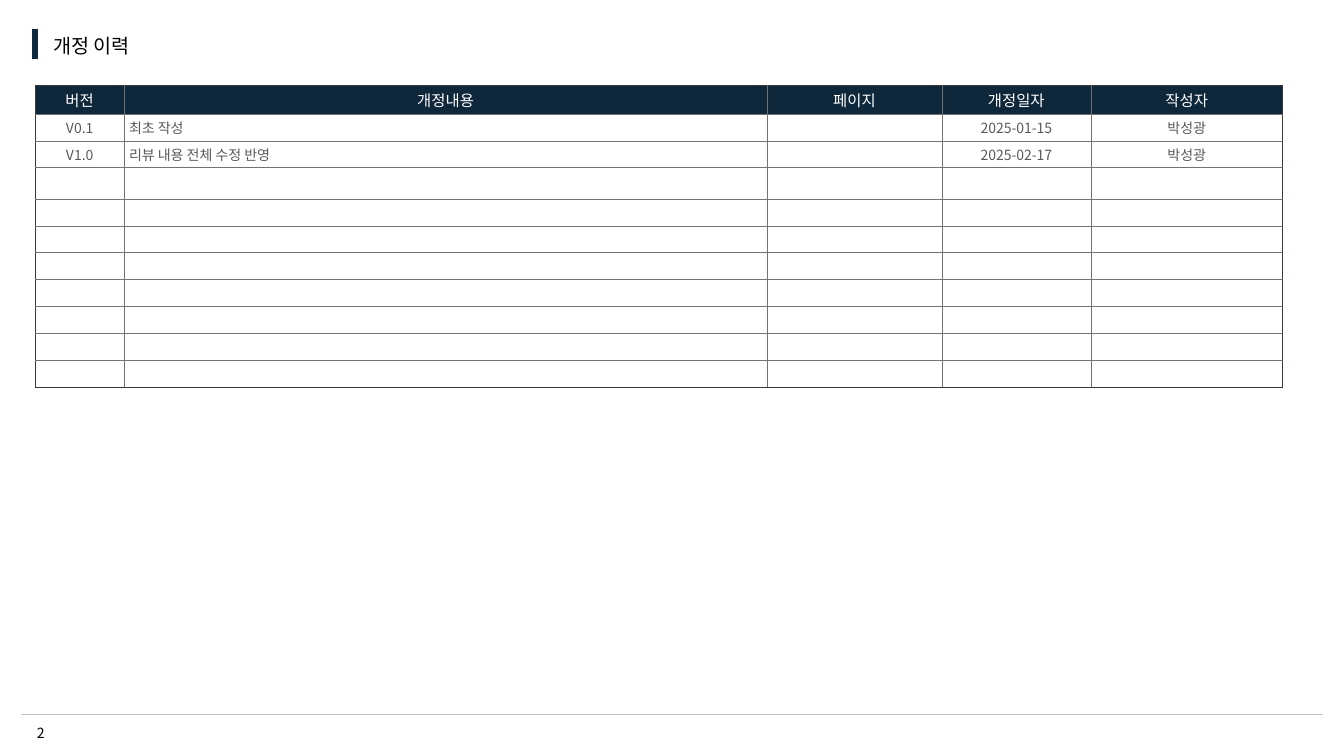
from dataclasses import dataclass

from lxml import etree
from pptx import Presentation
from pptx.dml.color import RGBColor
from pptx.enum.shapes import MSO_CONNECTOR
from pptx.enum.text import MSO_ANCHOR, PP_ALIGN
from pptx.oxml.ns import qn
from pptx.util import Inches, Pt

STRAIGHT = MSO_CONNECTOR.STRAIGHT
MIDDLE = MSO_ANCHOR.MIDDLE
LEFT, CENTER = PP_ALIGN.LEFT, PP_ALIGN.CENTER


@dataclass(frozen=True)
class Theme:
    """Colours, font and type sizes of the slide."""
    font: str = "Noto Sans CJK KR"
    navy: str = "0E273B"
    white: str = "FFFFFF"
    black: str = "000000"
    body: str = "595959"
    rule: str = "BFBFBF"
    grid: str = "767171"
    frame: str = "3B3838"
    grid_width: float = 0.25
    title_size: int = 14
    header_size: int = 11
    body_size: int = 10


THEME = Theme()

HEADERS = ["버전", "개정내용", "페이지", "개정일자", "작성자"]
REVISIONS = [
    ["V0.1", "최초 작성", "", "2025-01-15", "박성광"],
    ["V1.0", "리뷰 내용 전체 수정 반영", "", "2025-02-17", "박성광"],
]
ROW_COUNT = 11
COLUMN_WIDTHS = [0.88, 6.38, 1.73, 1.48, 1.9]
DESCRIPTION_COLUMN = 1
TABLE_HEIGHT = 3
SPECIAL_HEIGHTS = {0: 0.29, 3: 0.31}


def write_text(frame, text, size, color, align):
    """Fill the first paragraph of a text frame in the theme font."""
    paragraph = frame.paragraphs[0]
    paragraph.alignment = align
    if not text:
        etree.SubElement(paragraph._p, qn("a:endParaRPr"), sz=str(size * 100))
        return
    paragraph.text = text
    font = paragraph.font
    font.name = THEME.font
    font.size = Pt(size)
    font.bold = False
    font.color.rgb = RGBColor.from_string(color)
    defaults = paragraph._p.pPr.find(qn("a:defRPr"))
    etree.SubElement(defaults, qn("a:ea"), typeface=THEME.font)


def add_label(slide, box, text, size, align, side_margin):
    """Add a vertically centred line of text."""
    frame = slide.shapes.add_textbox(*map(Inches, box)).text_frame
    frame.word_wrap = True
    frame.vertical_anchor = MIDDLE
    frame.margin_left = frame.margin_right = Inches(side_margin)
    frame.margin_top = frame.margin_bottom = 0
    write_text(frame, text, size, THEME.black, align)


def add_line(slide, start, end, color, width):
    """Add a straight line without a shadow."""
    line = slide.shapes.add_connector(STRAIGHT, *map(Inches, start + end))
    line.line.color.rgb = RGBColor.from_string(color)
    line.line.width = Pt(width)
    etree.SubElement(line._element.spPr, qn("a:effectLst"))


def set_borders(cell, colors):
    """Draw the left, right, top and bottom borders of a cell."""
    properties = cell._tc.get_or_add_tcPr()
    for side, color in zip("LRTB", colors):
        border = etree.SubElement(properties, qn(f"a:ln{side}"), w=str(Pt(THEME.grid_width)))
        fill = etree.SubElement(border, qn("a:solidFill"))
        etree.SubElement(fill, qn("a:srgbClr"), val=color)


def format_cell(cell, text, row, column):
    """Apply the borders, fill, margins and text of one table cell."""
    outer_sides = (column == 0, column == len(HEADERS) - 1, row == 0, row == ROW_COUNT - 1)
    set_borders(cell, [THEME.frame if outer else THEME.grid for outer in outer_sides])
    is_header = row == 0
    cell.fill.solid()
    cell.fill.fore_color.rgb = RGBColor.from_string(THEME.navy if is_header else THEME.white)
    cell.vertical_anchor = MIDDLE
    cell.margin_left = cell.margin_right = Inches(0.05)
    cell.margin_top = cell.margin_bottom = Inches(0.03)
    size = THEME.header_size if is_header else THEME.body_size
    color = THEME.white if is_header else THEME.body
    align = LEFT if column == DESCRIPTION_COLUMN and not is_header else CENTER
    write_text(cell.text_frame, text, size, color, align)


def add_revision_table(slide, left, top):
    """Add the revision history with empty rows for later entries."""
    blank_rows = [[""] * len(HEADERS)] * (ROW_COUNT - 1 - len(REVISIONS))
    entries = [HEADERS] + REVISIONS + blank_rows
    table = slide.shapes.add_table(
        ROW_COUNT, len(HEADERS), Inches(left), Inches(top),
        Inches(sum(COLUMN_WIDTHS)), Inches(TABLE_HEIGHT)).table
    table.first_row = table.horz_banding = False
    for column, width in zip(table.columns, COLUMN_WIDTHS):
        column.width = Inches(width)
    plain_height = ((TABLE_HEIGHT - sum(SPECIAL_HEIGHTS.values()))
                    / (ROW_COUNT - len(SPECIAL_HEIGHTS)))
    for row, texts in enumerate(entries):
        table.rows[row].height = Inches(SPECIAL_HEIGHTS.get(row, plain_height))
        for column, text in enumerate(texts):
            format_cell(table.cell(row, column), text, row, column)


def main():
    """Build the revision history slide."""
    presentation = Presentation()
    presentation.slide_width = Inches(13.33)
    presentation.slide_height = Inches(7.5)
    slide = presentation.slides.add_slide(presentation.slide_layouts[6])
    add_line(slide, (0.21, 7.09), (13.12, 7.09), THEME.rule, 0.75)
    add_label(slide, (0.13, 7.14, 0.55, 0.27), "2", THEME.body_size, CENTER, 0.1)
    add_label(slide, (0.45, 0.29, 1.39, 0.32), "개정 이력", THEME.title_size, LEFT, 0.08)
    add_revision_table(slide, 0.35, 0.84)
    add_line(slide, (0.35, 0.29), (0.35, 0.59), THEME.navy, 4.5)
    presentation.save("out.pptx")


if __name__ == "__main__":
    main()
